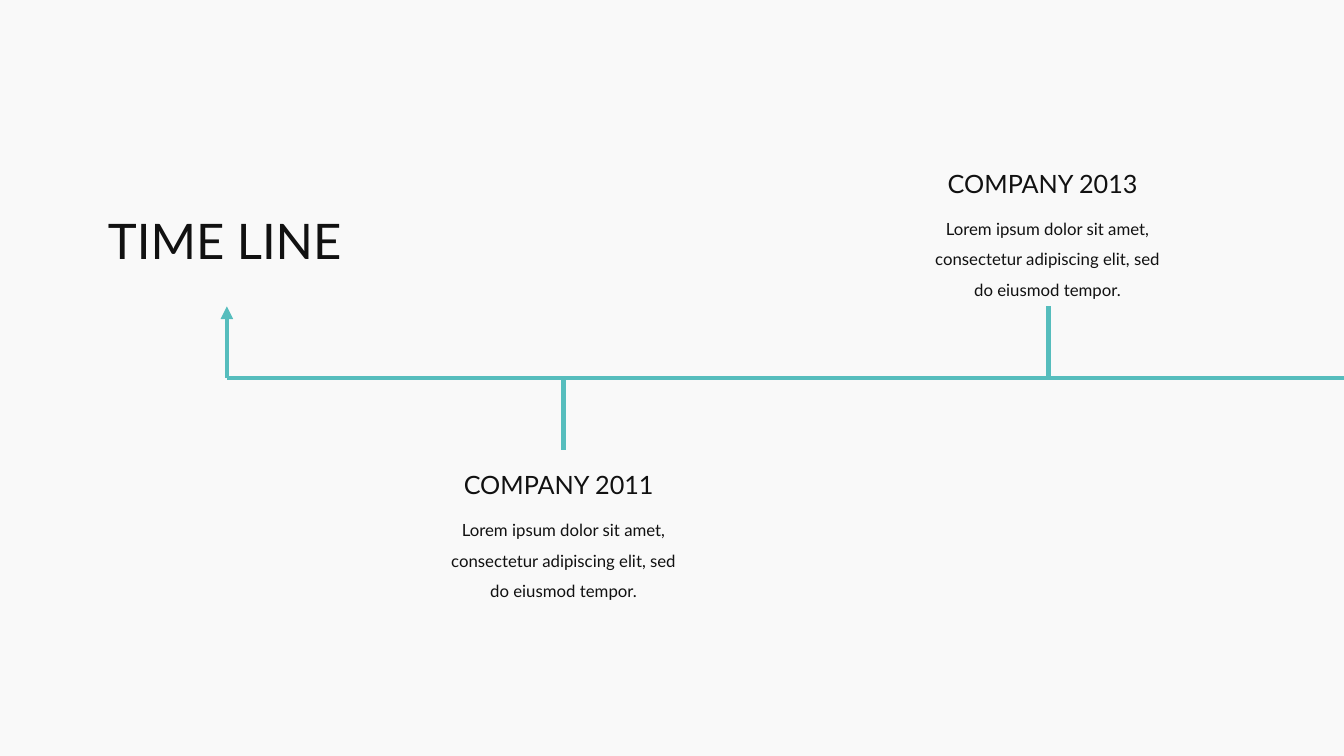
from pptx import Presentation
from pptx.dml.color import RGBColor
from pptx.enum.shapes import MSO_CONNECTOR
from pptx.enum.text import MSO_ANCHOR, MSO_AUTO_SIZE, PP_ALIGN
from pptx.oxml.ns import qn
from pptx.util import Inches, Pt
from lxml.etree import SubElement

TITLE = "TIME LINE"
BLURB = "Lorem ipsum dolor sit amet, consectetur adipiscing elit, sed do eiusmod tempor."
EVENTS = [
    ("COMPANY 2011", 5.59, 4.6, 4.66, 1),
    ("COMPANY 2013", 10.4, 9.4, 1.67, -1),
]
INK, TEAL, PAPER = "111111", "56BDBD", "F9F9F9"
WIDE, START, AXIS, STEM = 13.33, 2.25, 3.75, 0.71


def paint(fill, color):
    fill.solid()
    fill.fore_color.rgb = RGBColor.from_string(color)


def draw_line(x1, y1, x2, y2, arrow=False):
    line = slide.shapes.add_connector(
        MSO_CONNECTOR.STRAIGHT, Inches(x1), Inches(y1), Inches(x2), Inches(y2))
    paint(line.line.fill, TEAL)
    line.line.width = Pt(3)
    props = line._element.spPr
    if arrow:
        SubElement(props.find(qn("a:ln")), qn("a:tailEnd"), type="triangle")
    SubElement(props, qn("a:effectLst"))


def write(box, text, size, wrap=False, align=PP_ALIGN.LEFT, space=1.0):
    frame = box.text_frame
    frame.margin_left = frame.margin_top = 0
    frame.margin_right = frame.margin_bottom = 0
    frame.vertical_anchor = MSO_ANCHOR.TOP
    frame.auto_size = MSO_AUTO_SIZE.SHAPE_TO_FIT_TEXT
    frame.word_wrap = wrap
    para = frame.paragraphs[0]
    para.alignment = align
    para.line_spacing = space
    run = para.add_run()
    run.text = text
    run.font.name = "Lato"
    run.font.size = Pt(size)
    paint(run.font.fill, INK)


def add_box(x, y, width, height):
    return slide.shapes.add_textbox(
        Inches(x), Inches(y), Inches(width), Inches(height))


deck = Presentation()
deck.slide_width, deck.slide_height = Inches(WIDE), Inches(7.5)
slide = deck.slides.add_slide(deck.slide_layouts[5])
paint(slide.background.fill, PAPER)

title = slide.shapes.title
title.left, title.top = Inches(1.07), Inches(2.09)
title.width, title.height = Inches(2.37), Inches(0.59)
write(title, TITLE, 35)

draw_line(START, AXIS, WIDE, AXIS)
draw_line(START, AXIS, START, AXIS - STEM, arrow=True)

for name, stem, left, top, side in EVENTS:
    draw_line(stem, AXIS, stem, AXIS + side * STEM)
    write(add_box(left, top, 1.96, 0.3), name, 18)
    write(add_box(left - 0.21, top + 0.4, 2.4, 0.91), BLURB, 12,
          wrap=True, align=PP_ALIGN.CENTER, space=1.5)

deck.save("out.pptx")
